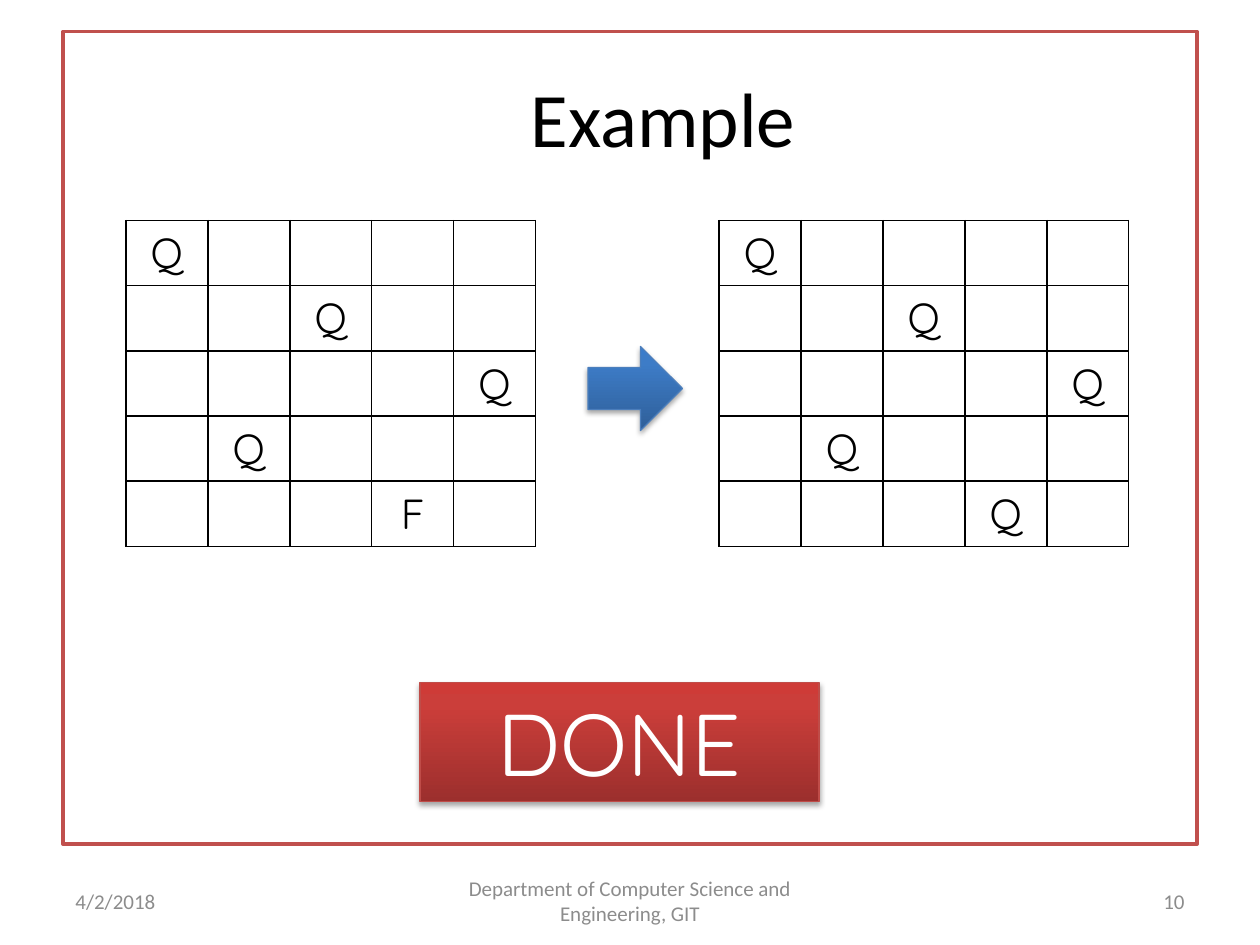
from dataclasses import dataclass

from pptx import Presentation, oxml
from pptx import util as u
from pptx.dml import color
from pptx.enum import shapes, text
from pptx.oxml import ns

Pt = u.Pt
ALIGN = text.PP_ALIGN
BLACK, WHITE, GREY = "000000", "FFFFFF", "8C8C8C"
BOARD_SIZE = 5
COLUMN_WIDTH, ROW_HEIGHT = 46.8, 36


@dataclass
class Area:
    left: float
    top: float
    width: float
    height: float

    def lengths(self) -> list:
        return [Pt(v) for v in (self.left, self.top, self.width, self.height)]


@dataclass
class Board:
    left: float
    top: float
    marks: dict[tuple[int, int], str]


@dataclass
class Glossy:
    kind: shapes.MSO_SHAPE
    area: Area
    stops: list[tuple[float, str]]
    line: str


@dataclass
class Footer:
    area: Area
    words: str
    align: text.PP_ALIGN


QUEENS = {(0, 0): "Q", (1, 2): "Q", (2, 4): "Q", (3, 1): "Q"}
BOARDS = [
    Board(72, 126, QUEENS | {(4, 3): "F"}),
    Board(411, 126, QUEENS | {(4, 3): "Q"}),
]
DONE = Glossy(shapes.MSO_SHAPE.RECTANGLE, Area(240, 390, 228, 68),
              [(0, "9C2F2D"), (0.8, "CB3E3A"), (1, "CE3B37")], "BF4C48")
ARROW = Glossy(shapes.MSO_SHAPE.RIGHT_ARROW, Area(336, 198, 54, 48),
               [(0, "2F5F99"), (0.8, "3D7CC7"), (1, "3A7CCB")], "4B7EBC")
FOOTERS = [
    Footer(Area(36, 500.4, 168, 28.8), "4/2/2018", ALIGN.LEFT),
    Footer(Area(246, 500.4, 228, 28.8),
           "Department of Computer Science and Engineering, GIT", ALIGN.CENTER),
    Footer(Area(516, 500.4, 168, 28.8), "10", ALIGN.RIGHT),
]


def rgb(code: str) -> color.RGBColor:
    return color.RGBColor.from_string(code)


def write(frame, words: str, size: float, font: str, code: str, align=ALIGN.CENTER):
    frame.text = words
    para = frame.paragraphs[0]
    para.alignment = align
    para.font.size = Pt(size)
    para.font.name = font
    para.font.color.rgb = rgb(code)
    return para


def draw_frame(page) -> None:
    frame = page.shapes.add_shape(shapes.MSO_SHAPE.RECTANGLE, *Area(36, 18, 648, 464.4).lengths())
    frame.shadow.inherit = False
    frame.fill.solid()
    frame.fill.fore_color.rgb = rgb(WHITE)
    frame.line.color.rgb = rgb("C0504D")
    frame.line.width = Pt(2)
    page.shapes._spTree.insert(2, frame._element)


def draw_title(page) -> None:
    title = page.shapes.title
    title.left, title.top, title.width, title.height = Area(36, 21.6, 648, 90).lengths()
    title.text_frame.vertical_anchor = text.MSO_ANCHOR.MIDDLE
    para = write(title.text_frame, "Example", 44, "Calibri", BLACK)
    properties = para._p.get_or_add_pPr()
    properties.set("marL", str(Pt(38)))
    properties.set("indent", "0")


def format_cell(cell) -> None:
    properties = cell._tc.get_or_add_tcPr()
    for side in "LRTB":
        properties.append(oxml.parse_xml(
            f'<a:ln{side} {ns.nsdecls("a")} w="{Pt(1)}"><a:solidFill>'
            f'<a:srgbClr val="{BLACK}"/></a:solidFill></a:ln{side}>'))
    cell.fill.background()


def draw_board(page, board: Board) -> None:
    area = Area(board.left, board.top, BOARD_SIZE * COLUMN_WIDTH, BOARD_SIZE * ROW_HEIGHT)
    table = page.shapes.add_table(BOARD_SIZE, BOARD_SIZE, *area.lengths()).table
    table.first_row = table.horz_banding = False
    for cell in table.iter_cells():
        format_cell(cell)
    for (row, column), mark in board.marks.items():
        write(table.cell(row, column).text_frame, mark, 24, "Quicksand", BLACK)


def add_shadow(shape) -> None:
    shape.shadow.inherit = False
    effects = shape._element.spPr.find(ns.qn("a:effectLst"))
    effects.append(oxml.parse_xml(
        f'<a:outerShdw {ns.nsdecls("a")} blurRad="{Pt(3.1)}" dist="{Pt(1.8)}" '
        f'dir="5400000" rotWithShape="0"><a:srgbClr val="{BLACK}">'
        '<a:alpha val="35000"/></a:srgbClr></a:outerShdw>'))


def draw_glossy(page, item: Glossy):
    shape = page.shapes.add_shape(item.kind, *item.area.lengths())
    shape.fill.gradient()
    shape.fill.gradient_angle = 90
    stop_list = shape._element.spPr.find(f'.//{ns.qn("a:gsLst")}')
    stop_list.append(oxml.parse_xml(
        f'<a:gs {ns.nsdecls("a")} pos="100000"><a:srgbClr val="{WHITE}"/></a:gs>'))
    for stop, (position, code) in zip(shape.fill.gradient_stops, item.stops):
        stop.position = position
        stop.color.rgb = rgb(code)
    shape.line.color.rgb = rgb(item.line)
    shape.line.width = Pt(0.75)
    add_shadow(shape)
    return shape


def draw_footer(page, footer: Footer) -> None:
    box = page.shapes.add_textbox(*footer.area.lengths())
    box.text_frame.word_wrap = True
    box.text_frame.vertical_anchor = text.MSO_ANCHOR.MIDDLE
    write(box.text_frame, footer.words, 12, "Calibri", GREY, footer.align)


def main() -> None:
    deck = Presentation()
    deck.slide_width, deck.slide_height = Pt(720), Pt(540)
    page = deck.slides.add_slide(deck.slide_layouts[5])
    draw_frame(page)
    draw_title(page)
    for board in BOARDS:
        draw_board(page, board)
    done = draw_glossy(page, DONE)
    done.text_frame.vertical_anchor = text.MSO_ANCHOR.TOP
    done.text_frame.auto_size = text.MSO_AUTO_SIZE.SHAPE_TO_FIT_TEXT
    write(done.text_frame, "DONE", 50, "Quicksand", WHITE)
    draw_glossy(page, ARROW)
    for footer in FOOTERS:
        draw_footer(page, footer)
    deck.save("out.pptx")


if __name__ == "__main__":
    main()
